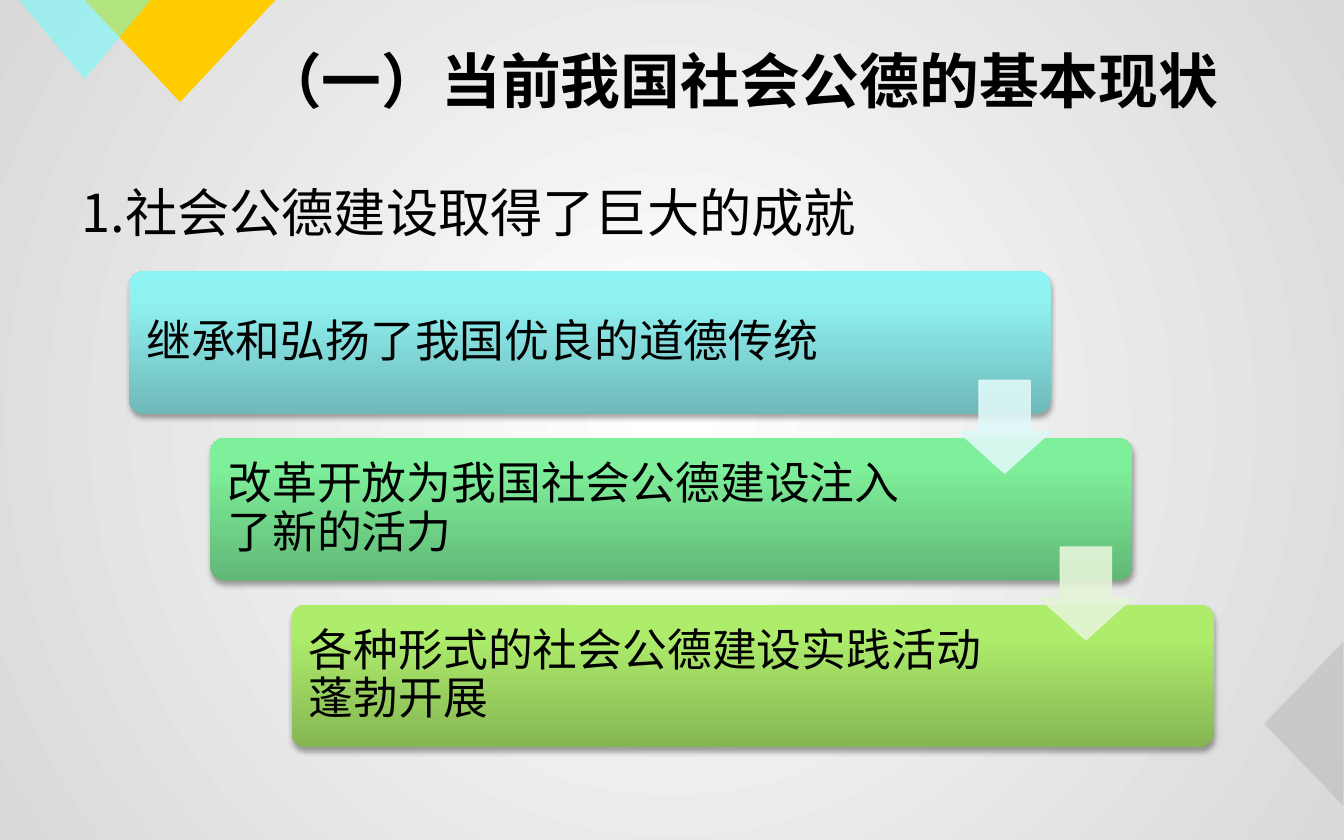
from dataclasses import dataclass

from lxml import etree
from pptx import Presentation
from pptx import util as u
from pptx.dml.color import RGBColor
from pptx.enum import shapes, text
from pptx.oxml.ns import qn


@dataclass(frozen=True)
class Theme:
    ink: str = "000000"
    page_stops: tuple = ((0, "FFFFFF"), (100, "D9D9D9"))
    cjk: str = "Noto Sans CJK SC"
    title_size: int = 32
    heading_size: int = 28
    step_size: int = 24


@dataclass(frozen=True)
class Corner:
    frame: tuple
    rotation: int
    color: str
    opacity: int


@dataclass(frozen=True)
class Step:
    wording: str
    font: str
    stops: tuple
    text_width: float = 5.5
    arrow: str = ""


THEME = Theme()
CORNERS = (
    Corner((0.63, 0, 1.42, 0.76), 180, "FFCC00", 100),
    Corner((0.14, 0, 0.98, 0.59), 180, "66FFFF", 50),
    Corner((9.09, 5.09, 1.22, 0.59), 270, "B7B7B7", 50),
)
STEPS = (
    Step("继承和弘扬了我国优良的道德传统", "Cabin",
         ((0, "6FB9B9"), (80, "90F1F1"), (100, "8FF4F4")), 5.71, "DFF8F8"),
    Step("改革开放为我国社会公德建设注入了新的活力", "Times New Roman",
         ((0, "61B876"), (80, "7EEF9A"), (100, "7CF299")), arrow="E5F5D8"),
    Step("各种形式的社会公德建设实践活动蓬勃开展", "Times New Roman",
         ((0, "86B653"), (80, "AEED6C"), (100, "AFF06A"))),
)
STEP_LEFT, STEP_TOP, SHIFT, DROP = 0.96, 2.02, 0.605, 1.24


def add(parent, tag: str, **attributes):
    return etree.SubElement(parent, qn(tag), {k: str(v) for k, v in attributes.items()})


def inches(frame: tuple) -> list:
    return [u.Inches(value) for value in frame]


def gradient(fill, owner, stops: tuple, angle: int | None = None) -> None:
    fill.solid()
    solid = next(owner.iter(qn("a:solidFill")))
    grad = etree.Element(qn("a:gradFill"), rotWithShape="1")
    stop_list = add(grad, "a:gsLst")
    for position, color in stops:
        add(add(stop_list, "a:gs", pos=position * 1000), "a:srgbClr", val=color)
    if angle is None:
        circle = add(grad, "a:path", path="circle")
        add(circle, "a:fillToRect", l=50000, t=50000, r=50000, b=50000)
    else:
        add(grad, "a:lin", ang=angle * 60000, scaled=0)
    solid.getparent().replace(solid, grad)


def paint(fill, owner, color: str, opacity: int) -> None:
    fill.solid()
    fill.fore_color.rgb = RGBColor.from_string(color)
    if opacity < 100:
        for node in owner.iter(qn("a:srgbClr")):
            if node.find(qn("a:alpha")) is None:
                add(node, "a:alpha", val=opacity * 1000)


def add_preset(page, kind, frame: tuple, *adjustments: float):
    shape = page.shapes.add_shape(kind, *inches(frame))
    for index, value in enumerate(adjustments):
        shape.adjustments[index] = value
    shape.shadow.inherit = False
    shape.line.fill.background()
    return shape


def write(box, wording: str, font: str, size: int, anchor, inset: float = 0.05,
          bold: bool = False):
    frame = box.text_frame
    frame.word_wrap = True
    frame.auto_size = text.MSO_AUTO_SIZE.NONE
    frame.vertical_anchor = anchor
    frame.margin_left = frame.margin_right = u.Inches(0.1)
    frame.margin_top = frame.margin_bottom = u.Inches(inset)
    para = frame.paragraphs[0]
    para.text = wording
    para.alignment = text.PP_ALIGN.LEFT
    para.font.name, para.font.size, para.font.bold = font, u.Pt(size), bold
    para.font.color.rgb = RGBColor.from_string(THEME.ink)
    add(next(para._p.iter(qn("a:defRPr"))), "a:ea", typeface=THEME.cjk)
    return para


def draw_corner(page, corner: Corner) -> None:
    shape = add_preset(page, shapes.MSO_SHAPE.ISOSCELES_TRIANGLE, corner.frame)
    shape.rotation = corner.rotation
    paint(shape.fill, shape._element.spPr, corner.color, corner.opacity)


def draw_step(page, step: Step, left: float, top: float) -> None:
    card = add_preset(page, shapes.MSO_SHAPE.ROUNDED_RECTANGLE, (left, top, 6.86, 1.06), 0.1)
    gradient(card.fill, card._element.spPr, step.stops, 270)
    shadow = add(card._element.spPr.find(qn("a:effectLst")), "a:outerShdw",
                 blurRad=u.Pt(3.1), dist=u.Pt(1.8), dir=5400000, rotWithShape=0)
    add(add(shadow, "a:srgbClr", val=THEME.ink), "a:alpha", val=35000)
    box = page.shapes.add_textbox(*inches((left + 0.03, top + 0.03, step.text_width, 1)))
    para = write(box, step.wording, step.font, THEME.step_size, text.MSO_ANCHOR.MIDDLE, 0.1)
    para.line_spacing = 0.9


def draw_arrow(page, color: str, left: float, top: float) -> None:
    arrow = add_preset(page, shapes.MSO_SHAPE.DOWN_ARROW,
                       (left + 6.17, top + 0.81, 0.69, 0.69), 0.55, 0.45)
    for fill in (arrow.fill, arrow.line.fill):
        paint(fill, arrow._element.spPr, color, 90)
    arrow.line.width = u.Pt(0.75)


def main() -> None:
    """Build the slide on the present state of public morality."""
    deck = Presentation()
    deck.slide_width, deck.slide_height = u.Inches(10), u.Inches(6.25)
    page = deck.slides.add_slide(deck.slide_layouts[5])
    gradient(page.background.fill, page._element, THEME.page_stops)
    for corner in CORNERS:
        draw_corner(page, corner)

    title = page.shapes.title
    title.left, title.top, title.width, title.height = inches((1.85, 0.3, 8.15, 0.59))
    write(title, "（一）当前我国社会公德的基本现状", THEME.cjk, THEME.title_size,
          text.MSO_ANCHOR.MIDDLE, bold=True)
    heading = page.shapes.add_textbox(*inches((0.51, 1.2, 9, 0.8)))
    para = write(heading, "1.社会公德建设取得了巨大的成就", THEME.cjk, THEME.heading_size,
                 text.MSO_ANCHOR.TOP)
    para.line_spacing = 1.2

    places = [(STEP_LEFT + i * SHIFT, STEP_TOP + i * DROP) for i in range(len(STEPS))]
    for step, place in zip(STEPS, places):
        draw_step(page, step, *place)
    for step, place in zip(STEPS, places):
        if step.arrow:
            draw_arrow(page, step.arrow, *place)
    deck.save("out.pptx")


if __name__ == "__main__":
    main()
